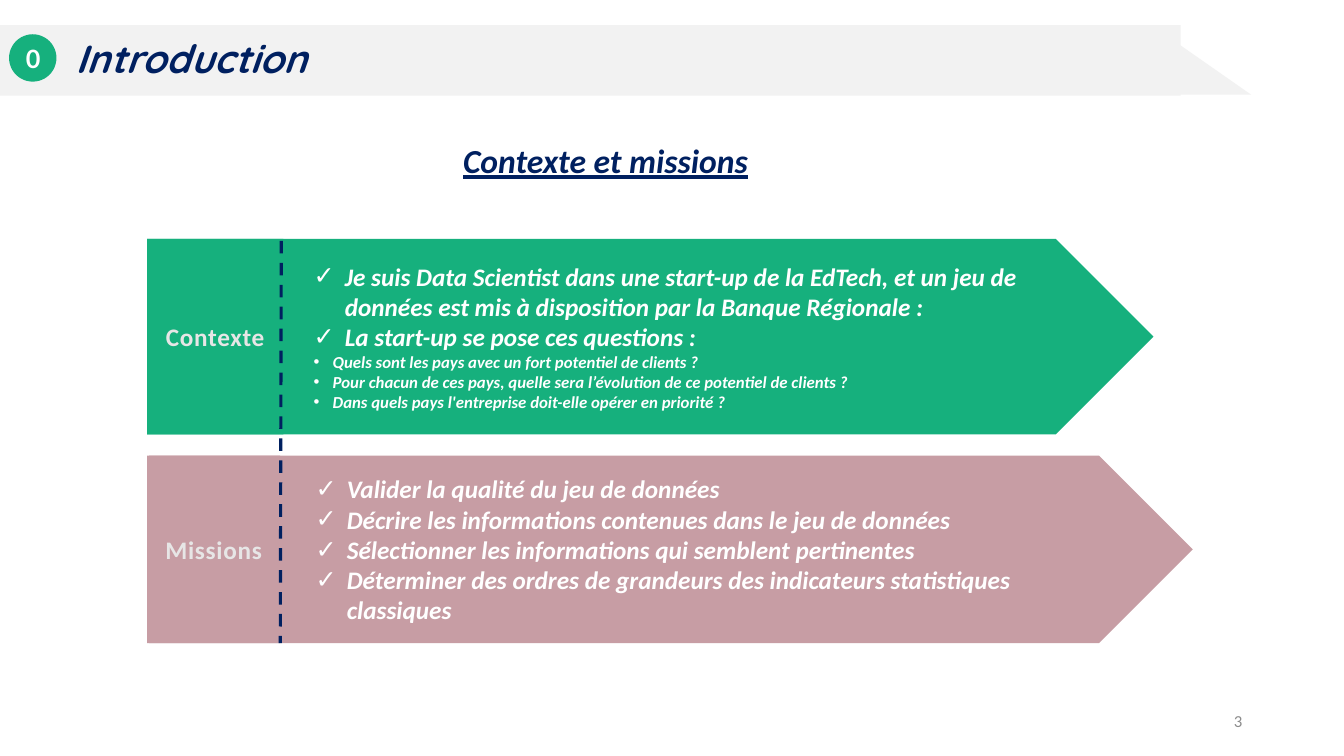
from dataclasses import dataclass

from lxml.etree import SubElement
from pptx import Presentation
from pptx.dml.color import RGBColor
from pptx.enum.dml import MSO_LINE
from pptx.enum.shapes import MSO_CONNECTOR, MSO_SHAPE
from pptx.enum.text import MSO_ANCHOR, PP_ALIGN
from pptx.oxml.ns import qn
from pptx.shapes.autoshape import Shape
from pptx.slide import Slide
from pptx.util import Inches, Pt

GREEN, ROSE, NAVY = "16B07D", "C79DA4", "002060"
WHITE, BAND_GREY, LABEL_GREY, NUMBER_GREY = "FFFFFF", "F2F2F2", "E7E6E6", "8C8C8C"

Box = tuple[float, float, float, float]


@dataclass(frozen=True)
class Style:
    size: float
    color: str
    font: str = "Calibri"
    bold: bool = True
    italic: bool = False
    underline: bool = False
    spacing: float = 0


@dataclass(frozen=True)
class Bullet:
    mark: str
    indent: float
    style: Style


@dataclass(frozen=True)
class Section:
    label: str
    color: str
    arrow: Box
    label_width: float
    items: list[tuple[str, Bullet]]


LABEL = Style(18, LABEL_GREY, spacing=0.5)
CHECK = Bullet("✓", 0.31, Style(18, WHITE, italic=True))
DOT = Bullet("•", 0.19, Style(12, WHITE, italic=True))
LABEL_LEFT = 1.46

SECTIONS = [
    Section("Missions", ROSE, (1.48, 4.52, 10.35, 1.86), 1.32, [
        ("Valider la qualité du jeu de données", CHECK),
        ("Décrire les informations contenues dans le jeu de données", CHECK),
        ("Sélectionner les informations qui semblent pertinentes", CHECK),
        ("Déterminer des ordres de grandeurs des indicateurs statistiques classiques", CHECK),
    ]),
    Section("Contexte", GREEN, (1.46, 2.37, 9.98, 1.94), 1.35, [
        ("Je suis Data Scientist dans une start-up de la EdTech, et un jeu de données "
         "est mis à disposition par la Banque Régionale :", CHECK),
        ("La start-up se pose ces questions :", CHECK),
        ("Quels sont les pays avec un fort potentiel de clients ?", DOT),
        ("Pour chacun de ces pays, quelle sera l’évolution de ce potentiel de clients ?", DOT),
        ("Dans quels pays l'entreprise doit-elle opérer en priorité ?", DOT),
    ]),
]


def rgb(color: str) -> RGBColor:
    return RGBColor.from_string(color)


def add_filled(slide: Slide, kind: MSO_SHAPE, box: Box, color: str) -> Shape:
    shape = slide.shapes.add_shape(kind, *map(Inches, box))
    shape.shadow.inherit = False
    shape.fill.solid()
    shape.fill.fore_color.rgb = rgb(color)
    shape.line.fill.background()
    return shape


def style_paragraph(paragraph, style: Style, align: PP_ALIGN) -> None:
    paragraph.alignment = align
    for run in paragraph.runs:
        font = run.font
        font.name, font.size = style.font, Pt(style.size)
        font.bold, font.italic, font.underline = style.bold, style.italic, style.underline
        font.color.rgb = rgb(style.color)
        if style.spacing:
            run._r.get_or_add_rPr().set("spc", str(int(style.spacing * 100)))


def write(shape: Shape, text: str, style: Style, align: PP_ALIGN = PP_ALIGN.CENTER,
          anchor: MSO_ANCHOR = MSO_ANCHOR.MIDDLE) -> None:
    frame = shape.text_frame
    frame.text = text
    frame.word_wrap = True
    frame.vertical_anchor = anchor
    style_paragraph(frame.paragraphs[0], style, align)


def set_indent(paragraph, left: float, first_line: float):
    properties = paragraph._p.get_or_add_pPr()
    properties.set("marL", str(Inches(left)))
    properties.set("indent", str(Inches(first_line)))
    return properties


def add_section(slide: Slide, section: Section) -> None:
    arrow = add_filled(slide, MSO_SHAPE.RIGHT_ARROW, section.arrow, section.color)
    arrow.adjustments[0], arrow.adjustments[1] = 1, 0.5
    frame = arrow.text_frame
    frame.text = "\n".join(text for text, _ in section.items)
    frame.word_wrap = True
    frame.vertical_anchor = MSO_ANCHOR.MIDDLE
    frame.margin_left = Inches(1.65)
    for paragraph, (_, bullet) in zip(frame.paragraphs, section.items):
        style_paragraph(paragraph, bullet.style, PP_ALIGN.LEFT)
        properties = set_indent(paragraph, bullet.indent, -bullet.indent)
        SubElement(properties, qn("a:buFont"), typeface="Arial")
        SubElement(properties, qn("a:buChar"), char=bullet.mark)

    _, top, _, height = section.arrow
    label = add_filled(slide, MSO_SHAPE.RECTANGLE,
                       (LABEL_LEFT, top, section.label_width, height), section.color)
    write(label, section.label, LABEL)


def add_divider(slide: Slide) -> None:
    ends = map(Inches, (2.79, 2.39, 2.78, 6.38))
    divider = slide.shapes.add_connector(MSO_CONNECTOR.STRAIGHT, *ends)
    divider.line.color.rgb = rgb(NAVY)
    divider.line.width = Pt(2.25)
    divider.line.dash_style = MSO_LINE.DASH
    SubElement(divider._element.spPr, qn("a:effectLst"))


def add_text(slide: Slide, box: Box, text: str, style: Style, align: PP_ALIGN,
             anchor: MSO_ANCHOR = MSO_ANCHOR.MIDDLE) -> Shape:
    textbox = slide.shapes.add_textbox(*map(Inches, box))
    write(textbox, text, style, align, anchor)
    return textbox


def main() -> None:
    deck = Presentation()
    deck.slide_width, deck.slide_height = Inches(13.33), Inches(7.5)
    slide = deck.slides.add_slide(deck.slide_layouts[6])

    add_filled(slide, MSO_SHAPE.RIGHT_TRIANGLE, (11.58, 0.36, 0.83, 0.58), BAND_GREY)
    add_filled(slide, MSO_SHAPE.RECTANGLE, (0, 0.25, 11.71, 0.7), BAND_GREY)
    for section in SECTIONS:
        add_section(slide, section)
    add_divider(slide)

    add_text(slide, (9.42, 6.95, 3, 0.4), "3", Style(12, NUMBER_GREY, bold=False),
             PP_ALIGN.RIGHT)
    add_text(slide, (2.97, 1.39, 6.07, 0.4), "Contexte et missions",
             Style(24, NAVY, italic=True, underline=True), PP_ALIGN.CENTER)
    title = add_text(slide, (0.26, 0.29, 8.26, 0.57), "Introduction",
                     Style(28, NAVY, "Quicksand", italic=True), PP_ALIGN.LEFT, MSO_ANCHOR.TOP)
    set_indent(title.text_frame.paragraphs[0], 0.39, 0)

    chapter = add_filled(slide, MSO_SHAPE.OVAL, (0.09, 0.34, 0.47, 0.47), GREEN)
    write(chapter, "0", Style(18, WHITE, "Lato"))

    deck.save("out.pptx")


if __name__ == "__main__":
    main()
